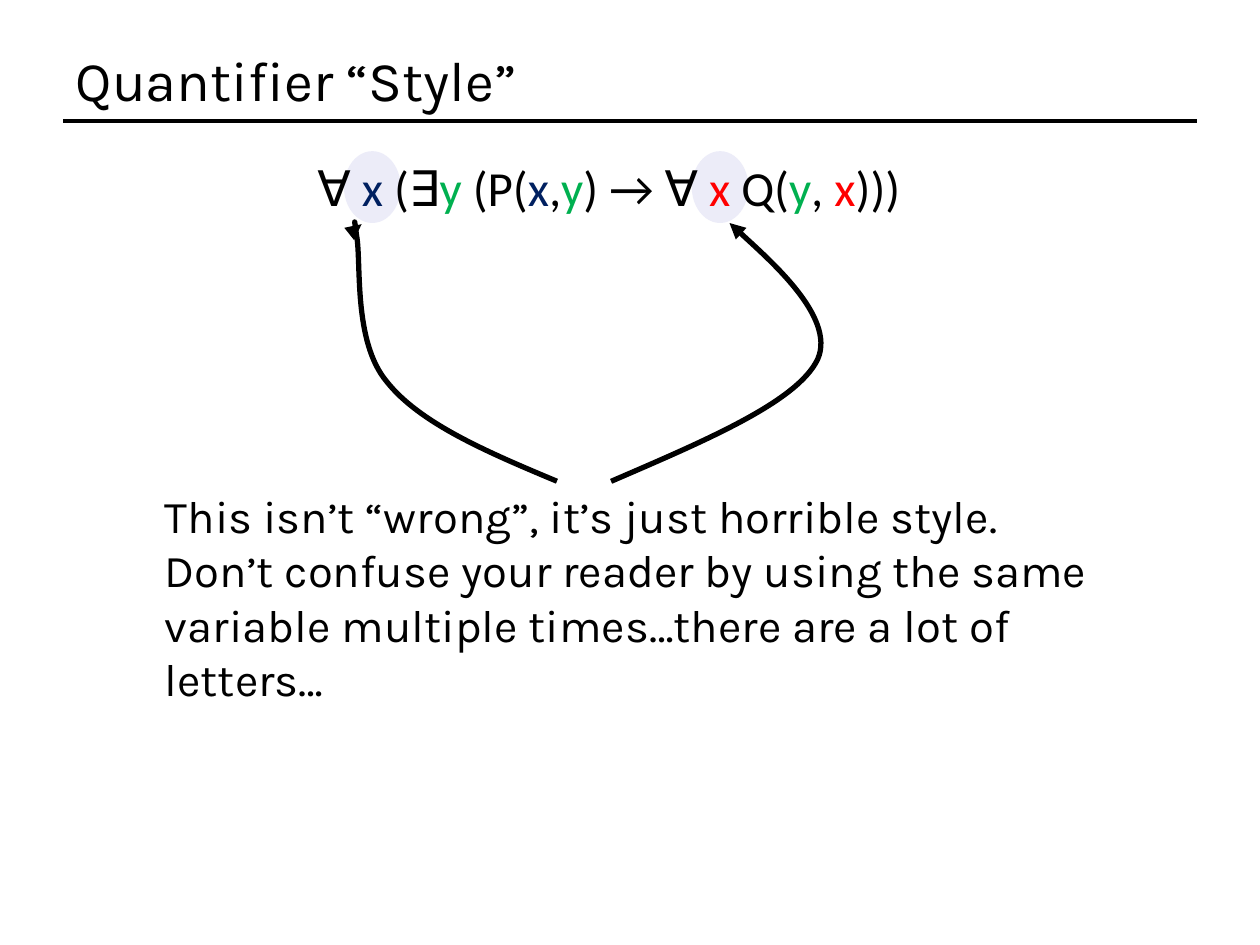
from lxml import etree
from pptx import Presentation
from pptx.dml.color import RGBColor
from pptx.enum.shapes import MSO_CONNECTOR, MSO_SHAPE
from pptx.enum.text import MSO_ANCHOR, MSO_AUTO_SIZE, PP_ALIGN
from pptx.oxml.ns import qn
from pptx.util import Inches, Pt

LINE, OVAL = MSO_CONNECTOR.STRAIGHT, MSO_SHAPE.OVAL
LEFT, MIDDLE, TOP = PP_ALIGN.LEFT, MSO_ANCHOR.MIDDLE, MSO_ANCHOR.TOP
NO_FIT, GROW = MSO_AUTO_SIZE.NONE, MSO_AUTO_SIZE.SHAPE_TO_FIT_TEXT

WIDTH, HEIGHT, MARGIN = 10, 7.5, 0.5
RULE_Y, FORMULA_Y, ROW = 0.96, 1.2, 0.57
BLACK, NAVY, GREEN, RED, LILAC = "000000", "002060", "00B050", "FF0000", "E0E0F5"

TITLE = "Quantifier “Style”"
FORMULA = [
    ("∀ ", BLACK), ("x ", NAVY), ("(∃", BLACK), ("y", GREEN), (" (P(", BLACK),
    ("x", NAVY), (",", BLACK), ("y", GREEN), (") → ∀ ", BLACK), ("x", RED),
    (" Q(", BLACK), ("y", GREEN), (", ", BLACK), ("x", RED), (")))", BLACK),
]
ADVICE = [
    "This isn’t “wrong”, it’s just horrible style.",
    "Don’t confuse your reader by using the same variable multiple times…"
    "there are a lot of letters…",
]
HIGHLIGHT_LEFTS = [2.73, 5.49]
# Start point, then three Bézier points for each curve segment
ARROWS = [
    [(4.42, 3.82), (3.87, 3.59), (3.33, 3.36), (3.07, 3.03),
     (2.8, 2.71), (2.87, 2.08), (2.83, 1.87),
     (2.8, 1.66), (2.87, 1.78), (2.87, 1.78)],
    [(4.85, 3.82), (5.59, 3.5), (6.33, 3.19), (6.49, 2.85),
     (6.64, 2.51), (5.79, 1.77), (5.79, 1.77)],
]


def color(value):
    return RGBColor.from_string(value)


def style(span, font, size, value=BLACK):
    span.font.name, span.font.size = font, Pt(size)
    span.font.color.rgb = color(value)


def add_text_box(page, left, top, width, height, wrap):
    box = page.shapes.add_textbox(*map(Inches, (left, top, width, height)))
    frame = box.text_frame
    frame.word_wrap, frame.auto_size, frame.vertical_anchor = wrap, GROW, TOP
    return frame


def add_title(page):
    title = page.shapes.title
    title.left, title.top = Inches(MARGIN), Inches(0.3)
    title.width, title.height = Inches(WIDTH - 2 * MARGIN), Inches(RULE_Y - 0.3)
    frame = title.text_frame
    frame.text = TITLE
    frame.auto_size, frame.vertical_anchor = NO_FIT, MIDDLE
    frame.paragraphs[0].alignment = LEFT
    style(frame.paragraphs[0].runs[0], "Karla", 32)


def add_rule(page):
    rule = page.shapes.add_connector(
        LINE, *map(Inches, (MARGIN, RULE_Y, WIDTH - MARGIN, RULE_Y)))
    rule.line.color.rgb, rule.line.width = color(BLACK), Pt(2)
    etree.SubElement(rule._element.spPr, qn("a:effectLst"))


def add_highlight(page, left):
    oval = page.shapes.add_shape(OVAL, *map(Inches, (left, FORMULA_Y, 0.45, ROW)))
    oval.shadow.inherit = False
    oval.line.fill.background()
    oval.fill.solid()
    oval.fill.fore_color.rgb = color(LILAC)
    tint = oval._element.spPr.find(".//" + qn("a:srgbClr"))
    etree.SubElement(tint, qn("a:alpha"), val="61000")


def add_curved_arrow(page, points):
    """Draw the control polygon, then turn each three of its sides into one curve."""
    start, *rest = [(Inches(x), Inches(y)) for x, y in points]
    builder = page.shapes.build_freeform(*start)
    builder.add_line_segments(rest, close=False)
    arrow = builder.convert_to_shape()
    outline = arrow._element.spPr.find(".//" + qn("a:path"))
    sides = outline.findall(qn("a:lnTo"))
    for first in range(0, len(sides), 3):
        curve = etree.SubElement(outline, qn("a:cubicBezTo"))
        for side in sides[first:first + 3]:
            curve.append(side[0])
            outline.remove(side)
    arrow.shadow.inherit = False
    arrow.fill.background()
    arrow.line.color.rgb, arrow.line.width = color(BLACK), Pt(3)
    etree.SubElement(arrow.line._get_or_add_ln(), qn("a:tailEnd"), type="triangle")


def add_formula(page):
    para = add_text_box(page, 2.42, FORMULA_Y, 4.88, ROW, False).paragraphs[0]
    for text, value in FORMULA:
        span = para.add_run()
        span.text = text
        style(span, "Calibri", 28, value)


def add_advice(page):
    frame = add_text_box(page, 1.21, 3.82, 8.03, 1.41, True)
    frame.text = "\n".join(ADVICE)
    for para in frame.paragraphs:
        style(para.runs[0], "Karla", 26)


def main():
    deck = Presentation()
    deck.slide_width, deck.slide_height = Inches(WIDTH), Inches(HEIGHT)
    page = deck.slides.add_slide(deck.slide_layouts[5])
    add_rule(page)
    for left in HIGHLIGHT_LEFTS:
        add_highlight(page, left)
    add_formula(page)
    add_title(page)
    for points in ARROWS:
        add_curved_arrow(page, points)
    add_advice(page)
    deck.save("out.pptx")


if __name__ == "__main__":
    main()
